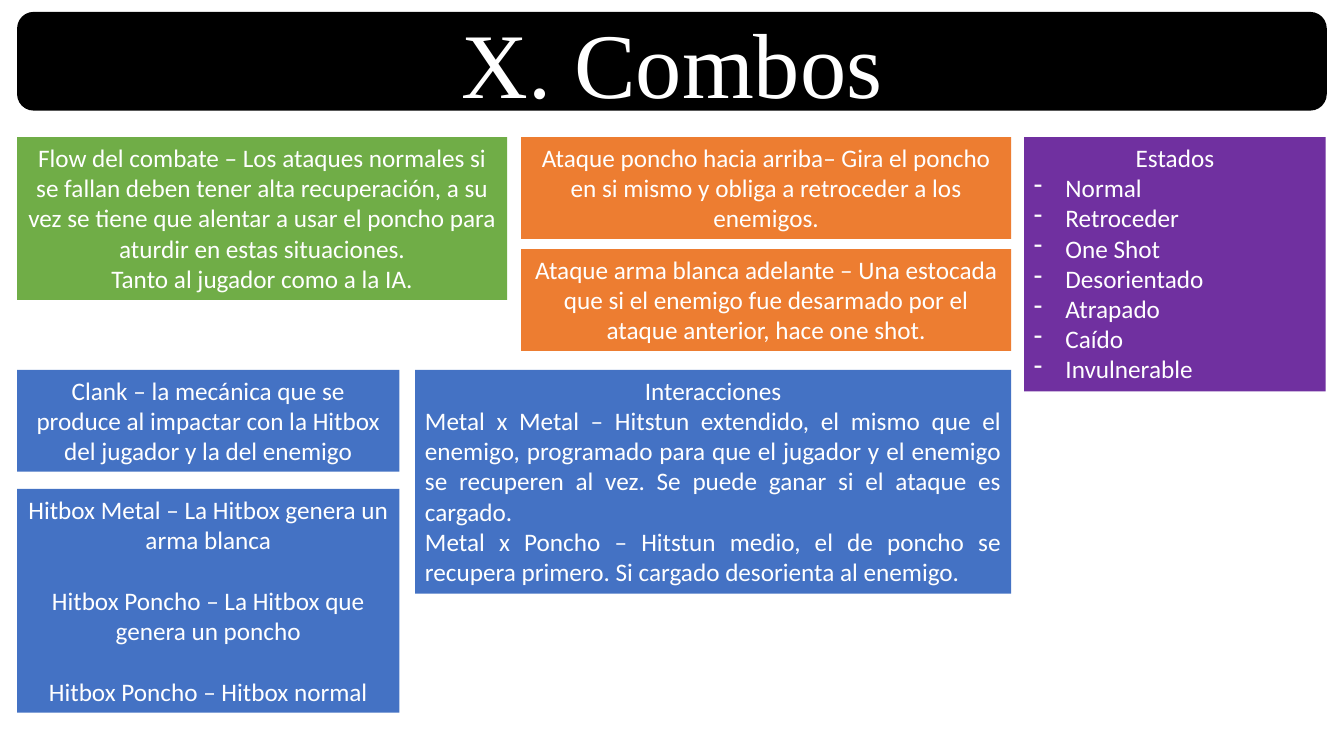
import pptx
import pptx.dml.color
import pptx.enum.shapes
import pptx.enum.text
import pptx.oxml.ns
import pptx.util
from lxml import etree

Pt = pptx.util.Pt
ALIGN = pptx.enum.text.PP_ALIGN
SHAPE = pptx.enum.shapes.MSO_SHAPE
ANCHOR = pptx.enum.text.MSO_ANCHOR

COLORS = {
    "title": "000000",
    "flow": "70AD47",
    "attack": "ED7D31",
    "states": "7030A0",
    "hitbox": "4472C4",
    "text": "FFFFFF",
}
LINE_HEIGHT = 21.8
BLANK_LINE = 22
BULLET_INDENT = 22.5
LEFT, RIGHT = 12.25, 947
TOP_ROW, BOTTOM_ROW = 98, 264.25


def rgb(name):
    return pptx.dml.color.RGBColor.from_string(COLORS[name])


def add_panel(slide, left, top, width, height, color, kind=SHAPE.RECTANGLE):
    shape = slide.shapes.add_shape(kind, Pt(left), Pt(top), Pt(width), Pt(height))
    shape.shadow.inherit = False
    shape.fill.solid()
    shape.fill.fore_color.rgb = rgb(color)
    shape.line.fill.background()
    shape.text_frame.word_wrap = True
    return shape


def add_text(shape, text, size=18, font="Calibri", align=ALIGN.CENTER,
             bullet=False, space_before=0):
    """Write text into the empty first paragraph, or into a new one after it."""
    frame = shape.text_frame
    paragraph = frame.paragraphs[0] if not frame.text else frame.add_paragraph()
    paragraph.alignment = align
    if space_before:
        paragraph.space_before = Pt(space_before)
    if bullet:
        properties = paragraph._p.get_or_add_pPr()
        properties.set("marL", str(Pt(BULLET_INDENT)))
        properties.set("indent", str(-Pt(BULLET_INDENT)))
        mark = etree.SubElement(properties, pptx.oxml.ns.qn("a:buChar"))
        mark.set("char", "-")
    run = paragraph.add_run()
    run.text = text
    run.font.size = Pt(size)
    run.font.name = font
    run.font.color.rgb = rgb("text")


def add_note(slide, left, top, width, lines, color, first, others=(), **other_format):
    """Add a panel as tall as its lines; other_format applies after the first paragraph."""
    shape = add_panel(slide, left, top, width, 7.2 + lines * LINE_HEIGHT, color)
    shape.text_frame.vertical_anchor = ANCHOR.TOP
    shape.text_frame.auto_size = pptx.enum.text.MSO_AUTO_SIZE.SHAPE_TO_FIT_TEXT
    add_text(shape, first)
    for text in others:
        add_text(shape, text, **other_format)


def add_title(slide, left, top, width, height):
    shape = add_panel(slide, left, top, width, height, "title", SHAPE.ROUNDED_RECTANGLE)
    shape.text_frame.vertical_anchor = ANCHOR.MIDDLE
    add_text(shape, "X. Combos", size=66, font="Times New Roman")


def add_hitboxes(slide, left, top, width):
    add_note(slide, left, top, width, 3, "hitbox",
             "Clank – la mecánica que se produce al impactar con la Hitbox "
             "del jugador y la del enemigo")
    add_note(slide, left, top + 85, width, 7, "hitbox",
             "Hitbox Metal – La Hitbox genera un arma blanca",
             ["Hitbox Poncho – La Hitbox que genera un poncho",
              "Hitbox Poncho – Hitbox normal"],
             space_before=BLANK_LINE)


def add_interactions(slide, left, top, width):
    add_note(slide, left, top, width, 7, "hitbox", "Interacciones",
             ["Metal x Metal – Hitstun extendido, el mismo que el enemigo, programado "
              "para que el jugador y el enemigo se recuperen al vez. Se puede ganar si "
              "el ataque es cargado.",
              "Metal x Poncho – Hitstun medio, el de poncho se recupera primero. "
              "Si cargado desorienta al enemigo."],
             align=ALIGN.JUSTIFY)


def add_combat_flow(slide, left, top, width):
    add_note(slide, left, top, width, 5, "flow",
             "Flow del combate – Los ataques normales si se fallan deben tener alta "
             "recuperación, a su vez se tiene que alentar a usar el poncho para aturdir "
             "en estas situaciones.",
             ["Tanto al jugador como a la IA."])


def add_attacks(slide, left, top, width):
    attacks = [
        "Ataque poncho hacia arriba– Gira el poncho en si mismo y obliga a retroceder "
        "a los enemigos.",
        "Ataque arma blanca adelante – Una estocada que si el enemigo fue desarmado por "
        "el ataque anterior, hace one shot.",
    ]
    for index, attack in enumerate(attacks):
        add_note(slide, left, top + index * 80, width, 3, "attack", attack)


def add_states(slide, left, top, width):
    add_note(slide, left, top, width, 8, "states", "Estados",
             ["Normal", "Retroceder", "One Shot", "Desorientado", "Atrapado", "Caído",
              "Invulnerable"],
             align=ALIGN.JUSTIFY, bullet=True)


def main():
    presentation = pptx.Presentation()
    presentation.slide_width = Pt(960)
    presentation.slide_height = Pt(540)
    slide = presentation.slides.add_slide(presentation.slide_layouts[6])

    column_width, middle, states_left, interactions_left = 350, 372.25, 731.5, 296.5
    add_title(slide, LEFT, 8.5, RIGHT + 0.75 - LEFT, 70.5)
    add_hitboxes(slide, LEFT, BOTTOM_ROW, 273)
    add_interactions(slide, interactions_left, BOTTOM_ROW,
                     middle + column_width - interactions_left)
    add_combat_flow(slide, LEFT, TOP_ROW, column_width)
    add_attacks(slide, middle, TOP_ROW, column_width)
    add_states(slide, states_left, TOP_ROW, RIGHT - states_left)
    presentation.save("out.pptx")


if __name__ == "__main__":
    main()
